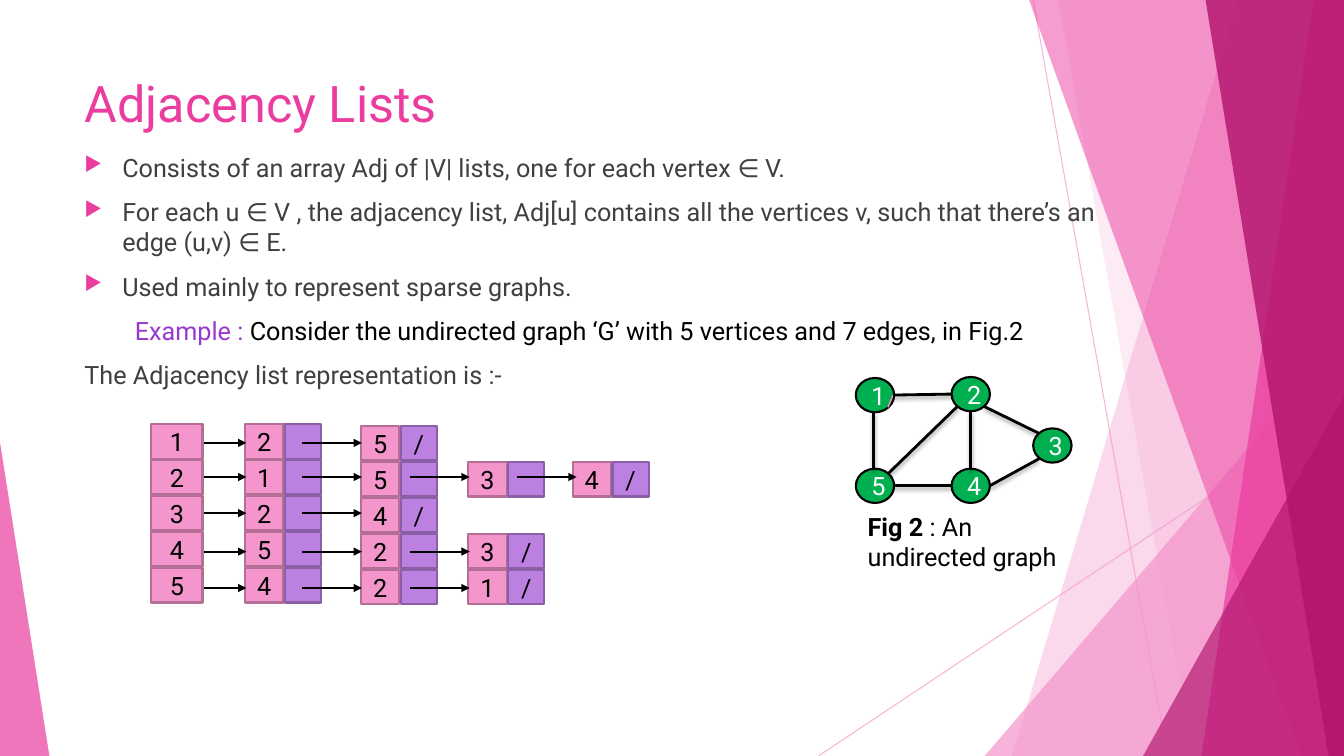
from lxml.etree import SubElement
from pptx import Presentation
from pptx.dml.color import RGBColor
from pptx.enum.shapes import MSO_CONNECTOR as Link, MSO_SHAPE as Preset
from pptx.enum.text import MSO_ANCHOR as Anchor, MSO_AUTO_SIZE as Fit, PP_ALIGN as Align
from pptx.oxml.ns import qn
from pptx.util import Pt

PINK = RGBColor(0xEB, 0x3D, 0x9F)
LIGHT_PINK = RGBColor(0xF4, 0x96, 0xCB)
DARK_PINK = RGBColor(0xB2, 0x13, 0x6D)
PINK_EDGE = RGBColor(0xB5, 0x6F, 0x96)
LILAC = RGBColor(0xBC, 0x80, 0xE0)
LILAC_EDGE = RGBColor(0x8B, 0x5F, 0xA6)
VIOLET = RGBColor(0x97, 0x39, 0xCF)
GREEN = RGBColor(0x00, 0xB0, 0x50)
GREY = RGBColor(0x40, 0x40, 0x40)
BLACK = RGBColor(0, 0, 0)
WHITE = RGBColor(0xFF, 0xFF, 0xFF)


class Board:
    font = {"name": "Roboto", "size": Pt(18), "bold": False}
    frame = {"word_wrap": True, "auto_size": Fit.NONE, "vertical_anchor": Anchor.TOP}

    def __init__(self, slide):
        self.shapes = slide.shapes

    def apply(self, target, values):
        for name, value in values.items():
            setattr(target, name, value)

    def add_words(self, paragraph, words, color, **changes):
        run = paragraph.add_run()
        run.text = words
        self.apply(run.font, {**self.font, **changes})
        run.font.color.rgb = color

    def fade(self, item, percent):
        color = item.element.find(".//" + qn("a:srgbClr"))
        SubElement(color, qn("a:alpha"), val=str(percent * 1000))

    def paint(self, item, fill, edge=None):
        item.shadow.inherit = False
        item.fill.solid()
        item.fill.fore_color.rgb = fill
        if edge is None:
            item.line.fill.background()
        else:
            item.line.color.rgb = edge
            item.line.width = Pt(1.5)

    def facet(self, points, fill, opacity):
        corners = [(Pt(x), Pt(y)) for x, y in points]
        builder = self.shapes.build_freeform(*corners[0], scale=1.0)
        builder.add_line_segments(corners[1:], close=True)
        pane = builder.convert_to_shape()
        self.paint(pane, fill)
        self.fade(pane, opacity)

    def triangle(self, box, apex, fill, opacity):
        pane = self.shapes.add_shape(Preset.ISOSCELES_TRIANGLE, *map(Pt, box))
        pane.adjustments[0] = apex
        self.paint(pane, fill)
        self.fade(pane, opacity)

    def cell(self, preset, box, fill, edge, label="", ink=BLACK):
        block = self.shapes.add_shape(preset, *map(Pt, box))
        self.paint(block, fill, edge)
        if label:
            self.add_words(block.text_frame.paragraphs[0], label, ink)

    def line(self, ends, color=BLACK, width=1.5, arrow=False, shadow=False):
        link = self.shapes.add_connector(Link.STRAIGHT, *map(Pt, ends))
        link.line.color.rgb = color
        link.line.width = Pt(width)
        if arrow:
            SubElement(link.element.find(".//" + qn("a:ln")), qn("a:tailEnd"), type="triangle")
        effects = SubElement(link.element.spPr, qn("a:effectLst"))
        if shadow:
            cast = SubElement(effects, qn("a:outerShdw"), blurRad=str(Pt(3)),
                              dist=str(Pt(2)), dir="5400000", rotWithShape="0")
            tint = SubElement(cast, qn("a:srgbClr"), val=str(BLACK))
            SubElement(tint, qn("a:alpha"), val="35000")
        return link

    def title(self, box, words):
        heading = self.shapes.title
        self.apply(heading, dict(zip(("left", "top", "width", "height"), map(Pt, box))))
        self.apply(heading.text_frame, self.frame)
        first = heading.text_frame.paragraphs[0]
        first.alignment = Align.LEFT
        self.add_words(first, words, PINK, size=Pt(36))
        self.shapes.element.append(heading.element)

    def text(self, box, paragraphs, **layout):
        holder = self.shapes.add_textbox(*map(Pt, box))
        frame = holder.text_frame
        self.apply(frame, self.frame)
        for index, (runs, margin, bullet) in enumerate(paragraphs):
            paragraph = frame.add_paragraph() if index else frame.paragraphs[0]
            self.apply(paragraph, layout)
            for words, color, bold in runs:
                self.add_words(paragraph, words, color, bold=bold)
            props = holder.element.findall(".//" + qn("a:p"))[-1].get_or_add_pPr()
            props.set("marL", str(Pt(margin)))
            props.set("indent", str(-Pt(margin) if bullet else 0))
            if bullet:
                tint = SubElement(props, qn("a:buClr"))
                SubElement(tint, qn("a:srgbClr"), val=str(PINK))
                SubElement(props, qn("a:buSzPct"), val="80000")
                SubElement(props, qn("a:buChar"), char=bullet)


def draw_backdrop(board):
    for ends in ((738, 0, 833.8, 540), (960, 290.2, 584.6, 540)):
        board.fade(board.line(ends, LIGHT_PINK, 0.75), 70)
    right = [(960, 0), (960, 540)]
    board.facet([(884.2, 0), *right, (722.9, 540)], LIGHT_PINK, 36)
    board.facet([(756, 0), *right, (851.8, 540)], LIGHT_PINK, 20)
    board.triangle((703.4, 240, 256.6, 300), 1, LIGHT_PINK, 72)
    board.facet([(735.1, 0), *right, (929.5, 540)], PINK, 50)
    board.facet([(938.2, 0), *right, (858.2, 540)], PINK, 70)
    board.facet([(861.1, 0), *right, (949, 540)], DARK_PINK, 80)
    board.triangle((816.5, 283, 143.5, 257), 1, DARK_PINK, 66)
    board.triangle((0, 316, 35.3, 224), 0, PINK, 70)


def draw_graph(board):
    vertices = [(611.3, 270), (679.7, 269.3), (738, 306), (679.7, 334.8), (611.3, 334.8)]
    for number, (left, top) in enumerate(vertices, 1):
        board.cell(Preset.OVAL, (left, top, 27.4, 24.5), GREEN, BLACK, str(number), WHITE)
    board.line((637.9, 282.2, 634.3, 290.9), LIGHT_PINK, 1)
    edges = [(624.2, 294.5, 624.2, 334.8), (637.9, 347, 679.7, 347), (693.4, 293.8, 693.4, 334.8),
             (637.9, 282.2, 679.7, 281.5), (702.7, 290.2, 742.3, 309.6),
             (742.3, 327.6, 707, 347), (634.3, 338.4, 684, 290.2)]
    for ends in edges:
        board.line(ends, width=2, shadow=True)
    board.text((612.7, 361.4, 155.5, 51.1),
               [([("Fig 2 ", BLACK, True), (": An undirected graph", BLACK, False)], 0, None)])


def draw_lists(board):
    adjacency = ["25", "1534", "24", "523", "421"]
    columns = [(175.1, 303.1, 216), (257.8, 304.5, 293), (334.5, 304.5, 369.4), (409, 304.5, 0)]
    arrow_heights = [316.4, 340.7, 366.5, 394, 420]
    arrows = []
    for row, neighbours in enumerate(adjacency):
        drop = 25.7 * row
        height = arrow_heights[row]
        board.cell(Preset.RECTANGLE, (108, 303.1 + drop, 36.7, 24.5), LIGHT_PINK, PINK_EDGE, str(row + 1))
        arrows.append((146, height, 176, height))
        for place, (vertex, (left, top, start)) in enumerate(zip(neighbours, columns), 1):
            last = place == len(neighbours)
            board.cell(Preset.RECTANGLE, (left, top + drop, 27.4, 24.5), LIGHT_PINK, PINK_EDGE, vertex)
            board.cell(Preset.RECTANGLE, (left + 28.5, top + drop, 25.9, 24.5), LILAC, LILAC_EDGE,
                       "/" if last else "")
            if not last:
                arrows.append((start, height, start + 42.5, height))
    for ends in arrows:
        board.line(ends, arrow=True)


def main():
    deck = Presentation()
    deck.slide_width, deck.slide_height = Pt(960), Pt(540)
    board = Board(deck.slides.add_slide(deck.slide_layouts[5]))
    draw_backdrop(board)
    board.title((53.3, 48.2, 676.8, 103.7), "Adjacency Lists")
    points = ["Consists of an array Adj of |V| lists, one for each vertex ∈ V.",
              "For each u ∈ V , the adjacency list, Adj[u] contains all the vertices v, "
              "such that there’s an edge (u,v) ∈ E.",
              "Used mainly to represent sparse graphs."]
    example = [("Example : ", VIOLET, False),
               ("Consider the undirected graph ‘G’ with 5 vertices and 7 edges, in Fig.2", BLACK, False)]
    lead = [("The Adjacency list representation is :-", GREY, False)]
    board.text((53.3, 105.1, 736.6, 379.4),
               [([(point, GREY, False)], 27, "▶") for point in points]
               + [(example, 36, None), (lead, 0, None)],
               alignment=Align.JUSTIFY, space_before=Pt(10))
    draw_graph(board)
    draw_lists(board)
    deck.save("out.pptx")


if __name__ == "__main__":
    main()
